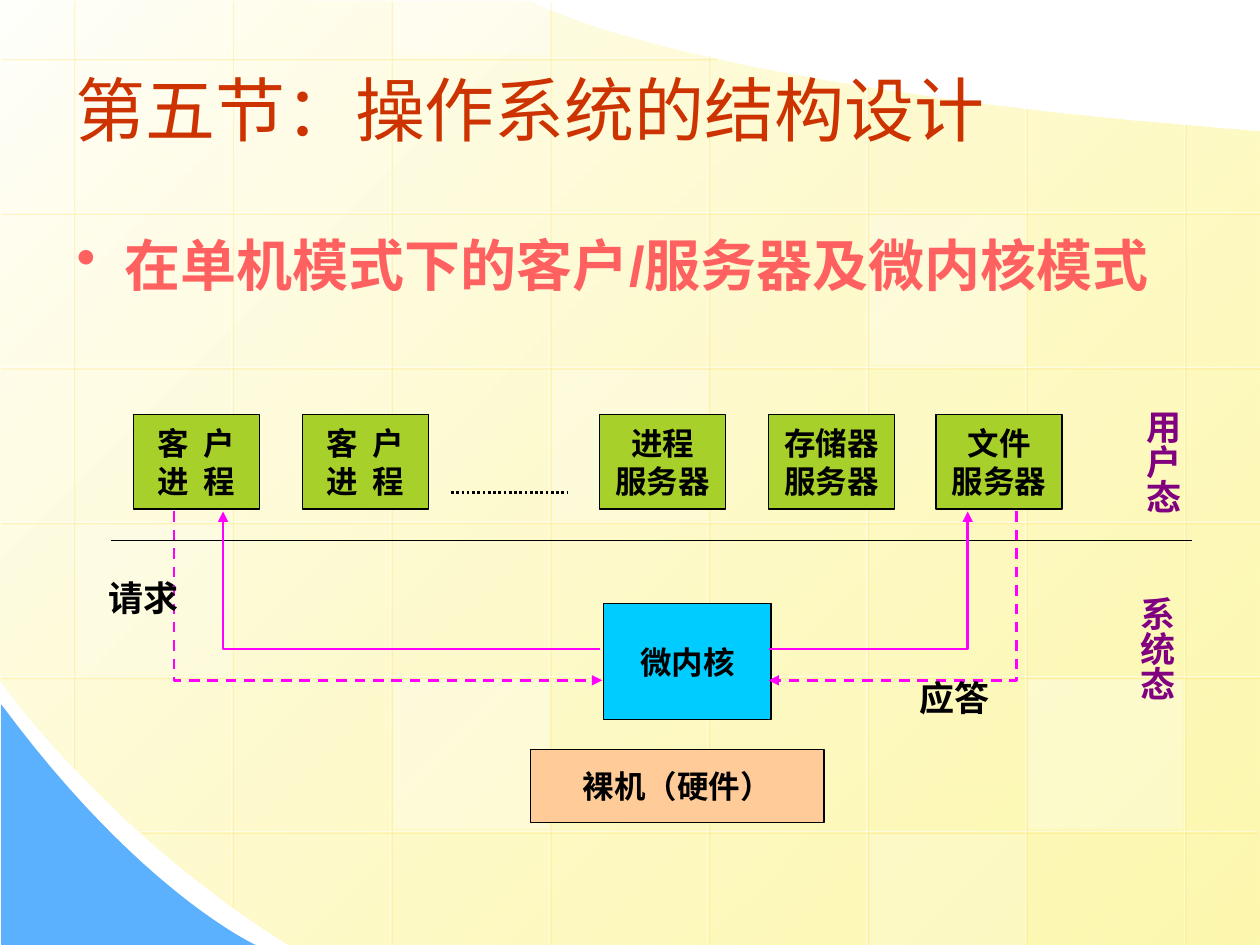
from pptx import Presentation
from pptx.dml.color import RGBColor
from pptx.enum.dml import MSO_LINE
from pptx.enum.shapes import MSO_CONNECTOR, MSO_SHAPE
from pptx.enum.text import MSO_ANCHOR, PP_ALIGN
from pptx.oxml import parse_xml
from pptx.oxml.ns import nsdecls
from pptx.util import Inches, Pt

WHITE, BLACK = RGBColor(255, 255, 255), RGBColor(0, 0, 0)
IVORY, YELLOW = RGBColor(0xFF, 0xFF, 0xFB), RGBColor(0xFD, 0xF5, 0x8D)
BLUE, GREEN = RGBColor(0x5C, 0xB1, 0xFE), RGBColor(0xA8, 0xD0, 0x2A)
CYAN, PEACH = RGBColor(0, 0xCC, 0xFF), RGBColor(0xFF, 0xCC, 0x99)
RED, CORAL = RGBColor(0xCC, 0x33, 0), RGBColor(0xFF, 0x61, 0x61)
MAGENTA, PURPLE = RGBColor(255, 0, 255), RGBColor(0x80, 0, 0x80)

TITLE = "第五节：操作系统的结构设计"
TOPIC = "在单机模式下的客户/服务器及微内核模式"

# Outlines: a pair is a corner, six numbers are a Bezier curve
SKY = [(10, 1.04), (10, 7.5), (2.3, 7.5), (0.86, 6.61, -0.01, 5.39, 0, 5.39),
       (-0.01, -0.01), (4.21, 0.01), (4.21, 0.01, 5.37, 0.69, 10, 1.04)]
CORNER = [(0.01, 5.59), (0.01, 7.5), (2.03, 7.5), (2.03, 7.5, 1.12, 7.09, 0.01, 5.59)]

GRID_LEFT, GRID_TOP, GRID_DX, GRID_DY = 0.58, 0.46, 1.26, 1.228
COLUMN_SPANS = [(0, 6.09), (0, 7.19), (0, 7.5), (0, 7.52),
                (0.43, 7.52), (0.68, 7.52), (0.85, 7.52), (0.98, 7.52)]
ROW_SPANS = [(5.68, 0)] + [(10.01, 0)] * 4 + [(9.97, 1.11)]
# column, row, opacity in percent
TILES = [(3, 2, 25), (6, 4, 30), (0, 3, 20), (5, 5, 20), (2, -1, 40), (2, 4, 30), (5, 1, 30)]

# text lines, fill, left, top, width, height
PROCESSES = [(1.06, "客 户", "进 程"), (2.4, "客 户", "进 程"), (4.76, "进程", "服务器"),
             (6.1, "存储器", "服务器"), (7.43, "文件", "服务器")]
BOXES = [(["裸机（硬件）"], PEACH, 4.21, 5.95, 2.33, 0.58),
         (["微内核"], CYAN, 4.79, 4.79, 1.33, 0.92)]
BOXES += [(lines, GREEN, left, 3.29, 1, 0.75) for left, *lines in PROCESSES]

BOX_FOOT, REPLY_Y, REQUEST_Y = 4.06, 5.15, 5.4
ROUTES = [([(1.38, BOX_FOOT), (1.38, REQUEST_Y), (4.78, REQUEST_Y)], True),
          ([(4.76, REPLY_Y), (1.77, REPLY_Y), (1.77, BOX_FOOT)], False),
          ([(6.1, REPLY_Y), (7.68, REPLY_Y), (7.68, BOX_FOOT)], False),
          ([(8.07, BOX_FOOT), (8.07, REQUEST_Y), (6.1, REQUEST_Y)], True)]
ROUTE_LABELS = [("请求", 0.76, 4.53), ("应答", 7.2, 5.32)]
MODES = [("用户态", 8.9, 2.65), ("系统态", 8.86, 4.14)]

HEADING = {"size": Pt(40), "name": "Arial"}
BODY = {"size": Pt(32), "name": "Arial", "bold": True}
BOX_FONT = {"size": Pt(18), "name": "Times New Roman", "bold": True}
LABEL = {"size": Pt(20), "name": "Times New Roman", "bold": True}
MODE = {"size": Pt(20), "name": "Arial", "bold": True}


def set_alpha(element, percent):
    color = element.xpath(".//a:srgbClr")[-1]
    color.append(parse_xml(f'<a:alpha {nsdecls("a")} val="{percent * 1000}"/>'))


def write(shape, lines, style, color, align=PP_ALIGN.LEFT, anchor=MSO_ANCHOR.TOP, wrap=True):
    frame = shape.text_frame
    frame.word_wrap, frame.vertical_anchor = wrap, anchor
    for number, line in enumerate(lines):
        para = frame.add_paragraph() if number else frame.paragraphs[0]
        para.alignment = align
        span = para.add_run()
        span.text = line
        for name, value in style.items():
            setattr(span.font, name, value)
        span.font.color.rgb = color
        if " " in line:
            span.font._element.set("spc", "225")
    return frame.paragraphs[0]


def add_text(page, text, place, *args, **options):
    box = page.shapes.add_textbox(*map(Inches, place))
    return box, write(box, [text], *args, **options)


def set_indent(para, left, first):
    props = para._p.get_or_add_pPr()
    props.set("marL", str(Inches(left)))
    props.set("indent", str(Inches(first)))
    return props


def flatten(outline, steps=24):
    """Turn curves of an outline into short straight pieces."""
    points = []
    for part in outline:
        if len(part) == 2:
            points.append(part)
            continue
        x0, y0 = points[-1]
        x1, y1, x2, y2, x3, y3 = part
        for step in range(1, steps + 1):
            t = step / steps
            a, b, c, d = (1 - t) ** 3, 3 * t * (1 - t) ** 2, 3 * t * t * (1 - t), t ** 3
            points.append((a * x0 + b * x1 + c * x2 + d * x3, a * y0 + b * y1 + c * y2 + d * y3))
    return points


def add_path(page, points, close):
    corners = [(Inches(x), Inches(y)) for x, y in points]
    builder = page.shapes.build_freeform(*corners[0])
    builder.add_line_segments(corners[1:], close=close)
    shape = builder.convert_to_shape()
    shape.shadow.inherit = False
    return shape


def add_line(page, x1, y1, x2, y2, color, width, dash=None):
    line = page.shapes.add_connector(MSO_CONNECTOR.STRAIGHT, *map(Inches, (x1, y1, x2, y2)))
    line.line.color.rgb, line.line.width = color, Pt(width)
    if dash:
        line.line.dash_style = dash
    effects = parse_xml(f'<a:effectLst {nsdecls("a")}/>')
    line._element.spPr.append(effects)
    return line, effects


def add_rect(page, place, color):
    shape = page.shapes.add_shape(MSO_SHAPE.RECTANGLE, *map(Inches, place))
    shape.shadow.inherit = False
    shape.fill.solid()
    shape.fill.fore_color.rgb = color
    return shape


def add_grid_line(page, *ends):
    line, effects = add_line(page, *ends, WHITE, 0.75)
    set_alpha(line._element, 50)
    effects.append(parse_xml(
        f'<a:outerShdw {nsdecls("a")} dist="{Pt(1.4)}" dir="2700000" algn="ctr" rotWithShape="0">'
        '<a:srgbClr val="FFCC00"><a:alpha val="34000"/></a:srgbClr></a:outerShdw>'))


def draw_background(page):
    sky = add_path(page, flatten(SKY), True)
    sky.fill.gradient()
    sky.fill.gradient_angle = 315
    for stop, color in zip(sky.fill.gradient_stops, (IVORY, YELLOW)):
        stop.color.rgb = color
    set_alpha(sky._element, 70)
    corner = add_path(page, flatten(CORNER), True)
    corner.fill.solid()
    corner.fill.fore_color.rgb = BLUE
    for shape in (sky, corner):
        shape.line.fill.background()
    for column, (top, bottom) in enumerate(COLUMN_SPANS):
        x = GRID_LEFT + column * GRID_DX
        add_grid_line(page, x, top, x, bottom)
    for row, (right, left) in enumerate(ROW_SPANS):
        y = GRID_TOP + row * GRID_DY
        add_grid_line(page, right, y, left, y)
    for column, row, opacity in TILES:
        top = max(0, GRID_TOP + row * GRID_DY + 0.02)
        bottom = min(7.5, GRID_TOP + (row + 1) * GRID_DY - 0.02)
        left = GRID_LEFT + column * GRID_DX + 0.02
        tile = add_rect(page, (left, top, 1.23, bottom - top), WHITE)
        tile.line.fill.background()
        set_alpha(tile._element, opacity)


def draw_diagram(page):
    for lines, color, *place in BOXES:
        box = add_rect(page, place, color)
        box.line.color.rgb, box.line.width = BLACK, Pt(0.75)
        write(box, lines, BOX_FONT, BLACK, PP_ALIGN.CENTER, MSO_ANCHOR.MIDDLE, False)
    add_line(page, 3.58, 3.91, 4.5, 3.91, BLACK, 1.5, MSO_LINE.ROUND_DOT)
    add_line(page, 0.88, 4.29, 9.46, 4.29, BLACK, 0.75)
    for points, dashed in ROUTES:
        route = add_path(page, points, False)
        route.fill.background()
        route.line.color.rgb, route.line.width = MAGENTA, Pt(1.5)
        if dashed:
            route.line.dash_style = MSO_LINE.DASH
        route.line._get_or_add_ln().append(parse_xml(f'<a:tailEnd {nsdecls("a")} type="triangle"/>'))
    for text, left, top in ROUTE_LABELS:
        add_text(page, text, (left, top, 0.76, 0.43), LABEL, BLACK, PP_ALIGN.CENTER, wrap=False)
    for text, left, top in MODES:
        box, para = add_text(page, text, (left, top, 0.59, 1.97), MODE, PURPLE)
        box.text_frame._txBody.bodyPr.set("vert", "eaVert")
        set_indent(para, 0.81, -0.31)
        para.line_spacing = 1.15


def main():
    deck = Presentation()
    deck.slide_width, deck.slide_height = Inches(10), Inches(7.5)
    page = deck.slides.add_slide(deck.slide_layouts[6])
    draw_background(page)
    add_text(page, TITLE, (0.5, 0.36, 9, 1.01), HEADING, RED, anchor=MSO_ANCHOR.MIDDLE)
    _, topic = add_text(page, TOPIC, (0.51, 1.78, 9, 1.21), BODY, CORAL)
    bullet = parse_xml(f'<a:buChar {nsdecls("a")} char="•"/>')
    set_indent(topic, 0.38, -0.38).append(bullet)
    draw_diagram(page)
    deck.save("out.pptx")


if __name__ == "__main__":
    main()
